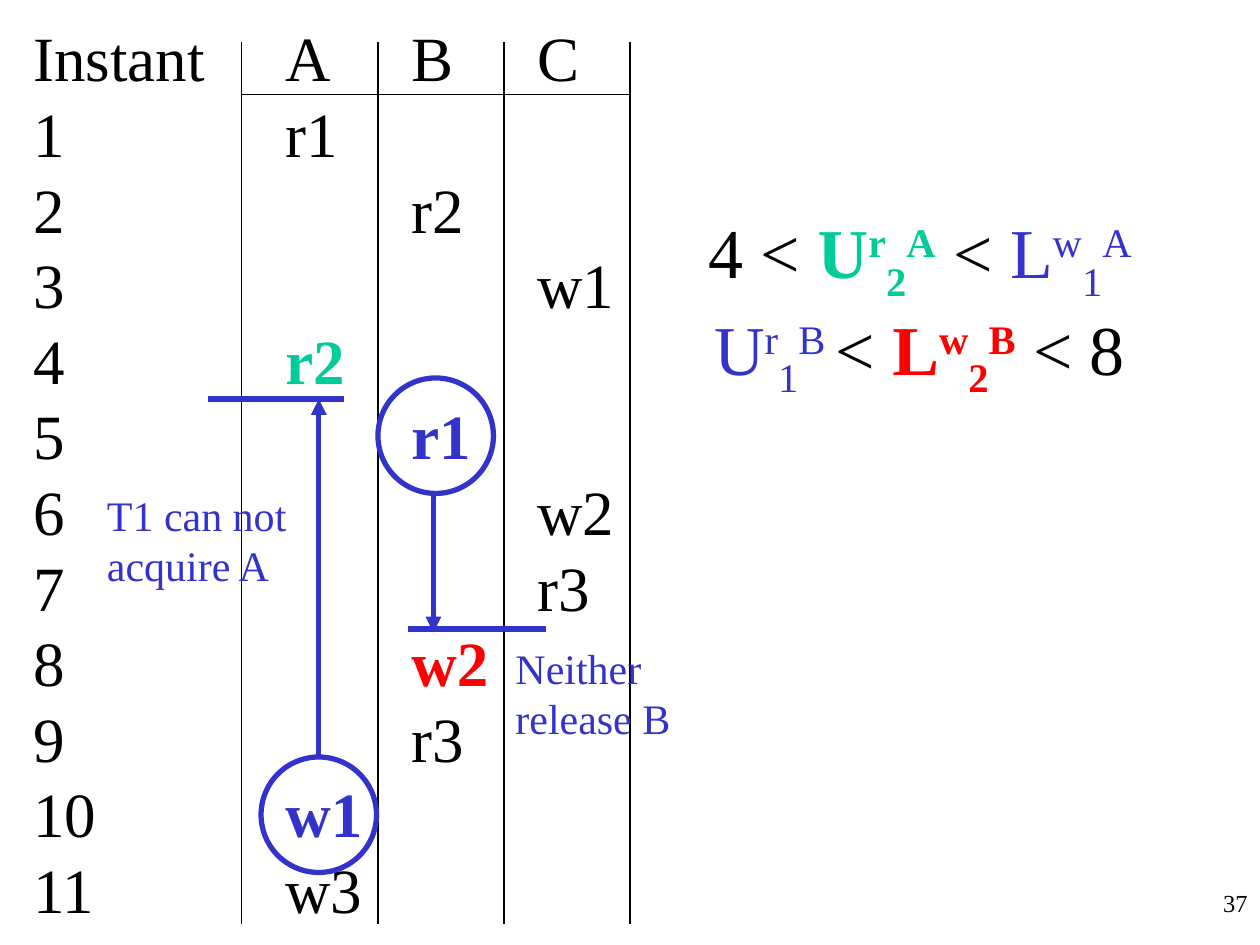
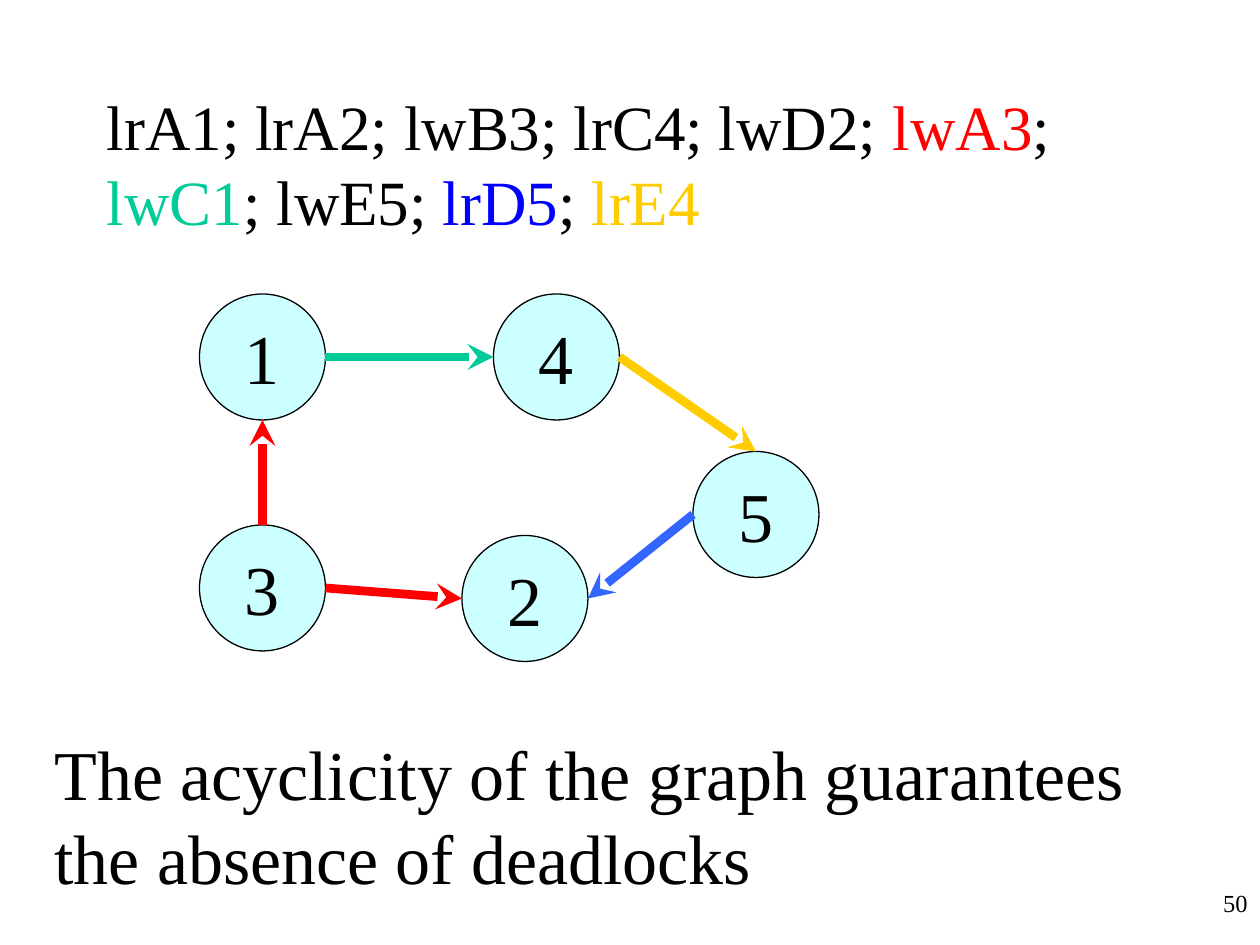
import pptx
import pptx.util
import pptx.dml.color
import pptx.enum.shapes
import pptx.enum.text
import pptx.oxml.ns
from lxml import etree

Pt = pptx.util.Pt
RGB = pptx.dml.color.RGBColor.from_string
qn = pptx.oxml.ns.qn
OVAL = pptx.enum.shapes.MSO_SHAPE.OVAL
LINE = pptx.enum.shapes.MSO_CONNECTOR.STRAIGHT
ALIGN = pptx.enum.text.PP_ALIGN
ANCHOR = pptx.enum.text.MSO_ANCHOR


class Theme:
    font = "Times New Roman"
    ink, red, green = "000000", "FF0000", "00CC99"
    note, blue, gold = "3333CC", "0000FF", "FFCC00"
    sky, node = "3366FF", "CCFFFF"
    large, body, small, page = 40, 36, 24, 14
    lead = 1.2
    thin, mark, edge = 0.75, 3, 5


def write(shape, lines, size=Theme.body, color=Theme.ink, align=ALIGN.LEFT,
          anchor=ANCHOR.TOP, wrap=True, lead=None, tabs=(), dents=()):
    """Fill a shape with lines; a run is (text, color, bold, baseline)."""
    frame = shape.text_frame
    frame.word_wrap = wrap
    frame.vertical_anchor = anchor
    for i, runs in enumerate(lines):
        para = frame.paragraphs[0] if i == 0 else frame.add_paragraph()
        props = para._p.get_or_add_pPr()
        if dents:
            props.set("marL", str(Pt(dents[i])))
        if tabs:
            stops = etree.SubElement(props, qn("a:tabLst"))
            for tab in tabs:
                etree.SubElement(stops, qn("a:tab"), pos=str(Pt(tab)), algn="l")
        para.alignment = align
        para.line_spacing = Pt(lead or size * Theme.lead)
        for part in runs:
            text, tint, bold, base = part + (color, False, 0)[len(part) - 1:]
            run = para.add_run()
            run.text = text
            run.font.name = Theme.font
            run.font.size = Pt(size)
            run.font.bold = bold
            run.font.color.rgb = RGB(tint)
            if base:
                run._r.get_or_add_rPr().set("baseline", str(base * 1000))


def draw(slide, start, end, color, width, head=None):
    """Draw a straight line, with an arrowhead at its end if one is named."""
    line = slide.shapes.add_connector(LINE, *map(Pt, start + end))
    line.line.color.rgb = RGB(color)
    line.line.width = Pt(width)
    if head:
        etree.SubElement(line.line._get_or_add_ln(), qn("a:tailEnd"), type=head)
    etree.SubElement(line._element.spPr, qn("a:effectLst"))


deck = pptx.Presentation()
deck.slide_width, deck.slide_height = Pt(720), Pt(540)
blank = deck.slide_layouts[6]

# Both slides with their numbers
locks, graph = slides = [deck.slides.add_slide(blank) for _ in range(2)]
for slide, page in zip(slides, ("37", "50")):
    box = slide.shapes.add_textbox(Pt(570), Pt(504), Pt(150), Pt(36))
    write(box, [[(page,)]], size=Theme.page, align=ALIGN.RIGHT)

# Slide 37: rules of the schedule
draw(locks, (138, 54), (360, 54), Theme.ink, Theme.thin)
for x in (138, 216, 288, 360):
    draw(locks, (x, 24), (x, 528), Theme.ink, Theme.thin)

# Lock order formulas
UP, DOWN = 30, -25
order = [
    [("4 < ",), ("U", Theme.green, True), ("r", Theme.green, True, UP),
     ("2", Theme.green, True, DOWN), ("A", Theme.green, True, UP), (" < ",),
     ("L", Theme.note), ("w", Theme.note, False, UP),
     ("1", Theme.note, False, DOWN), ("A", Theme.note, False, UP)],
    [("U", Theme.note), ("r", Theme.note, False, UP),
     ("1", Theme.note, False, DOWN), ("B ", Theme.note, False, UP), ("< ",),
     ("L", Theme.red, True), ("w", Theme.red, True, UP),
     ("2", Theme.red, True, DOWN), ("B", Theme.red, True, UP), (" < 8",)],
]
box = locks.shapes.add_textbox(Pt(384), Pt(18), Pt(318), Pt(312))
write(box, order, size=Theme.large, anchor=ANCHOR.MIDDLE, lead=55,
      dents=(13.6, 17))

# Schedule: one step per instant, placed under its item
steps = [("A", "r1"), ("B", "r2"), ("C", "w1"), ("A", "r2", Theme.green),
         ("B", "r1", Theme.note), ("C", "w2"), ("C", "r3"),
         ("B", "w2", Theme.red), ("B", "r3"), ("A", "w1", Theme.note),
         ("A", "w3")]
rows = [[("Instant\tA\tB\tC",)]]
for time, (item, act, *tint) in enumerate(steps, 1):
    gap = "\t" * ("ABC".index(item) + 2)
    rows.append([(f"{time}{gap}",), (act, *tint, *[True for _ in tint])])
box = locks.shapes.add_textbox(Pt(12), Pt(12), Pt(360), Pt(516))
write(box, rows, anchor=ANCHOR.MIDDLE, tabs=[72 * n for n in range(1, 8)])

# Conflicts: ring, note, bar and arrow
clashes = [
    ((149.2, 432.6), "T1 can not acquire A", (54, 276, 131, 64.8),
     (118.8, 196.6, 228), (182.2, 432, 228)),
    ((216, 216), "Neither release B", (287.5, 363.6, 144, 64.8),
     (233.3, 311.8, 359.5), (247.7, 281, 361.4)),
]
for spot, text, place, (left, right, level), (x, start, end) in clashes:
    ring = locks.shapes.add_shape(OVAL, *map(Pt, spot + (66, 66)))
    ring.shadow.inherit = False
    ring.fill.background()
    ring.line.color.rgb = RGB(Theme.note)
    ring.line.width = Pt(Theme.mark)
    box = locks.shapes.add_textbox(*map(Pt, place))
    write(box, [[(text,)]], size=Theme.small, color=Theme.note)
    draw(locks, (left, level), (right, level), Theme.note, Theme.mark)
    draw(locks, (x, start), (x, end), Theme.note, Theme.mark, "triangle")

# Slide 50: lock requests
box = graph.shapes.add_textbox(Pt(54), Pt(48), Pt(612), Pt(90))
write(box, [[("lrA1; lrA2; lwB3; lrC4; lwD2; ",), ("lwA3", Theme.red), ("; ",),
             ("lwC1", Theme.green), ("; lwE5; ",), ("lrD5", Theme.blue),
             ("; ",), ("lrE4", Theme.gold)]], anchor=ANCHOR.MIDDLE)

# Nodes of the wait graph
SIZE = 72
nodes = {1: (114, 168), 2: (264, 306), 3: (114, 300), 4: (282, 168),
         5: (396, 258)}
for name, spot in nodes.items():
    node = graph.shapes.add_shape(OVAL, *map(Pt, spot + (SIZE, SIZE)))
    node.shadow.inherit = False
    node.fill.solid()
    node.fill.fore_color.rgb = RGB(Theme.node)
    node.line.color.rgb = RGB(Theme.ink)
    node.line.width = Pt(Theme.thin)
    write(node, [[(str(name),)]], size=Theme.large, align=ALIGN.CENTER,
          anchor=ANCHOR.MIDDLE, wrap=False)

# Edges run from one side of a node to a side of the next
sides = {"left": (0, 0.5), "right": (1, 0.5), "top": (0.5, 0),
         "bottom": (0.5, 1)}
edges = [(1, "right", 4, "left", Theme.green),
         (3, "top", 1, "bottom", Theme.red),
         (4, "right", 5, "top", Theme.gold),
         (5, "left", 2, "right", Theme.sky),
         (3, "right", 2, "left", Theme.red)]
for tail, out, head, side, color in edges:
    start, end = [tuple(p + SIZE * s for p, s in zip(nodes[n], sides[at]))
                  for n, at in ((tail, out), (head, side))]
    draw(graph, start, end, color, Theme.edge, "stealth")

# Closing statement
box = graph.shapes.add_textbox(Pt(24), Pt(414), Pt(666), Pt(103.7))
write(box, [[("The acyclicity of the graph guarantees the absence of deadlocks",)]],
      size=Theme.large)

deck.save("out.pptx")
